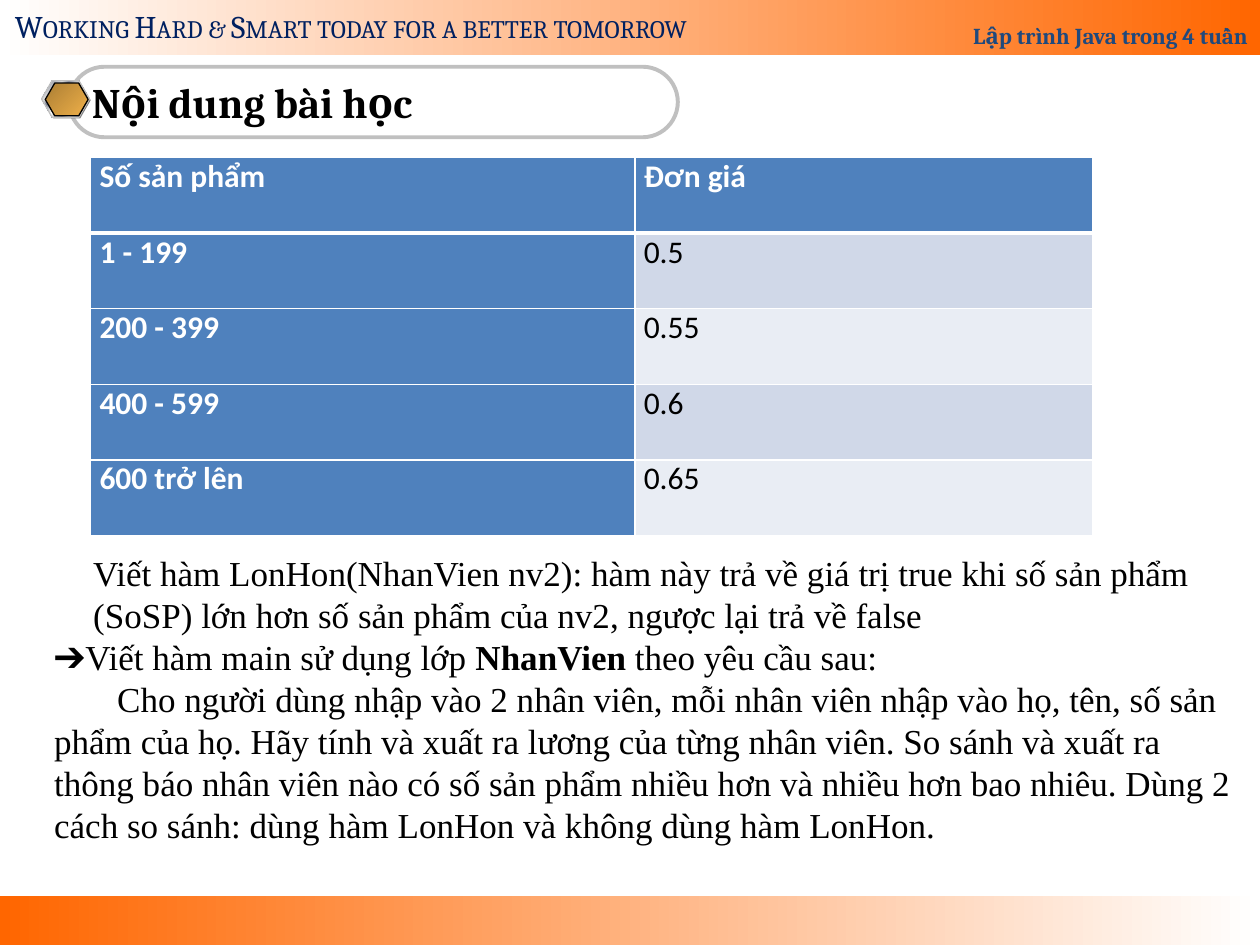
import pptx
import pptx.util
import pptx.oxml
import pptx.oxml.ns
import pptx.dml.color
import pptx.enum.shapes
import pptx.enum.text
from lxml import etree

COLORS = {
    "white": "FFFFFF", "black": "000000", "orange": "FF6600", "navy": "002060",
    "blue": "1F497D", "head": "4F81BD", "band": "D0D8E8", "pale": "E9EDF4",
    "silver": "C0C0C0", "grey": "808080", "bronze": "AB7E34", "gold": "EFB049",
    "shine": "E6E6E6", "steel": "7D8496",
}
SHAPES = pptx.enum.shapes.MSO_SHAPE
ALIGN = pptx.enum.text.PP_ALIGN
ANCHOR = pptx.enum.text.MSO_ANCHOR
qn = pptx.oxml.ns.qn


def rgb(name):
    return pptx.dml.color.RGBColor.from_string(COLORS[name])


def write(paragraph, text, size=18, font="Cambria", color="black", bold=False, small_caps=False):
    run = paragraph.add_run()
    run.text = text
    run.font.size = pptx.util.Pt(size)
    run.font.name = font
    run.font.bold = bold
    run.font.color.rgb = rgb(color)
    if small_caps:
        run.font._element.set("cap", "small")


class SlideBuilder:
    """Holds the grid, 100 columns by 75 rows, and the current slide."""

    COLUMNS, ROWS = 100, 75

    def __init__(self, deck):
        self.column = deck.slide_width / self.COLUMNS
        self.row = deck.slide_height / self.ROWS
        self.slide = deck.slides.add_slide(deck.slide_layouts[1])

    def area(self, left, top, width, height):
        return (round(left * self.column), round(top * self.row),
                round(width * self.column), round(height * self.row))

    def gradient(self, shape, stops, angle=0):
        shape.fill.gradient()
        shape.fill.gradient_angle = -angle % 360
        stop_list = shape.fill._xPr.find(qn("a:gradFill")).find(qn("a:gsLst"))
        for old in list(stop_list):
            stop_list.remove(old)
        for position, name in stops:
            stop = etree.SubElement(stop_list, qn("a:gs"), pos=str(position * 1000))
            etree.SubElement(stop, qn("a:srgbClr"), val=COLORS[name])

    def shape(self, kind, area, fill=None, stops=None, angle=0, line=None, width=0.75, adjust=()):
        shape = self.slide.shapes.add_shape(kind, *self.area(*area))
        shape.shadow.inherit = False
        for index, value in enumerate(adjust):
            shape.adjustments[index] = value
        if stops:
            self.gradient(shape, stops, angle)
        elif fill:
            shape.fill.solid()
            shape.fill.fore_color.rgb = rgb(fill)
        else:
            shape.fill.background()
        if line:
            shape.line.color.rgb = rgb(line)
            shape.line.width = pptx.util.Pt(width)
        else:
            shape.line.fill.background()
        return shape

    def label(self, area, text, **style):
        box = self.slide.shapes.add_textbox(*self.area(*area))
        box.text_frame.word_wrap = False
        write(box.text_frame.paragraphs[0], text, **style)

    def placeholder(self, index, area, anchor, wrap=True):
        holder = self.slide.placeholders[index]
        holder.left, holder.top, holder.width, holder.height = self.area(*area)
        frame = holder.text_frame
        frame.auto_size = pptx.enum.text.MSO_AUTO_SIZE.NONE
        frame.vertical_anchor = anchor
        frame.word_wrap = wrap
        return frame

    def title(self, area, text, **style):
        frame = self.placeholder(0, area, ANCHOR.MIDDLE, wrap=False)
        frame.paragraphs[0].alignment = ALIGN.LEFT
        write(frame.paragraphs[0], text, **style)

    def body(self, area, paragraphs, **style):
        """Each paragraph is its left indent in columns and its (text, bold) runs."""
        frame = self.placeholder(1, area, ANCHOR.TOP)
        for number, (indent, runs) in enumerate(paragraphs):
            paragraph = frame.paragraphs[0] if number == 0 else frame.add_paragraph()
            properties = paragraph._p.get_or_add_pPr()
            properties.set("marL", str(round(indent * self.column)))
            properties.set("indent", "0")
            etree.SubElement(properties, qn("a:buNone"))
            paragraph.space_before = pptx.util.Pt(0)
            for text, bold in runs:
                write(paragraph, text, bold=bold, **style)

    def borders(self, cell, bottom):
        properties = cell._tc.get_or_add_tcPr()
        for position, side in enumerate("LRTB"):
            width = pptx.util.Pt(bottom if side == "B" else 1)
            edge = etree.Element(qn("a:ln" + side), w=str(width))
            fill = etree.SubElement(edge, qn("a:solidFill"))
            etree.SubElement(fill, qn("a:srgbClr"), val=COLORS["white"])
            properties.insert(position, edge)

    def table(self, area, widths, rows):
        grid = self.slide.shapes.add_table(len(rows), len(widths), *self.area(*area)).table
        grid.first_col = True
        for column, width in zip(grid.columns, widths):
            column.width = round(width * self.column)
        for r, values in enumerate(rows):
            for c, value in enumerate(values):
                cell = grid.cell(r, c)
                heading = r == 0 or c == 0
                cell.margin_left = cell.margin_right = pptx.util.Inches(0.07)
                cell.margin_top = cell.margin_bottom = 0
                cell.fill.solid()
                cell.fill.fore_color.rgb = rgb("head" if heading else "band" if r % 2 else "pale")
                self.borders(cell, bottom=3 if r == 0 else 1)
                write(cell.text_frame.paragraphs[0], value, font="Calibri",
                      color="white" if heading else "black", bold=heading)


def main():
    deck = pptx.Presentation()
    deck.slide_width = pptx.util.Inches(10)
    deck.slide_height = pptx.util.Inches(7.5)
    page = SlideBuilder(deck)

    # Footer and header bands
    page.shape(SHAPES.RECTANGLE, (0, 71.1, 100, 3.9), stops=[(0, "orange"), (100, "white")])
    header = page.shape(SHAPES.RECTANGLE, (0, 0, 100, 4.4), stops=[(0, "white"), (100, "orange")])
    header.text_frame.vertical_anchor = ANCHOR.BOTTOM
    course = header.text_frame.paragraphs[0]
    course.alignment = ALIGN.RIGHT
    course.line_spacing = 1.8
    write(course, "Lập trình Java trong 4 tuần", size=13, color="blue", bold=True)
    page.label((0.2, 0.1, 59, 4), "Working Hard & Smart today for a better tomorrow",
               color="navy", small_caps=True)

    # Title in its pill, with the hexagon badge
    page.shape(SHAPES.ROUNDED_RECTANGLE, (5.5, 5.3, 48.3, 5.6), line="silver", width=2.25, adjust=[0.5])
    page.title((6.3, 5.3, 47, 5.6), "Nội dung bài học", size=24, bold=True)
    hexagon = [0.289, 1.155]
    metal = [(0, "shine"), (7, "steel"), (26, "shine"), (34, "steel"), (46, "shine"), (50, "white"),
             (54, "shine"), (66, "steel"), (74, "shine"), (93, "steel"), (100, "shine")]
    page.shape(SHAPES.HEXAGON, (3.4, 6.5, 3.8, 2.9), fill="grey", adjust=hexagon)
    page.shape(SHAPES.HEXAGON, (3.3, 6.4, 3.8, 2.9), stops=metal, angle=45, line="silver", adjust=hexagon)
    page.shape(SHAPES.HEXAGON, (3.6, 6.6, 3.4, 2.6), stops=[(0, "bronze"), (100, "gold")], angle=45,
               line="black", adjust=hexagon)

    # Price table
    page.table((7.2, 12.5, 79.5, 30), [43.2, 36.3], [
        ("Số sản phẩm", "Đơn giá"),
        ("1 - 199", "0.5"),
        ("200 - 399", "0.55"),
        ("400 - 599", "0.6"),
        ("600 trở lên", "0.65"),
    ])

    # Exercise
    page.body((3.3, 43.3, 95.6, 24.6), [
        (3.1, [("Viết hàm LonHon(NhanVien nv2): hàm này trả về giá trị true khi số sản phẩm "
                "(SoSP) lớn hơn số sản phẩm của nv2, ngược lại trả về false", False)]),
        (0, [("➔Viết hàm main sử dụng lớp ", False), ("NhanVien ", True), ("theo yêu cầu sau:", False)]),
        (0, [("\tCho người dùng nhập vào 2 nhân viên, mỗi nhân viên nhập vào họ, tên, số sản phẩm "
              "của họ. Hãy tính và xuất ra lương của từng nhân viên. So sánh và xuất ra thông báo "
              "nhân viên nào có số sản phẩm nhiều hơn và nhiều hơn bao nhiêu. Dùng 2 cách so sánh: "
              "dùng hàm LonHon và không dùng hàm LonHon.", False)]),
    ], size=20, font="Times New Roman")

    deck.save("out.pptx")


if __name__ == "__main__":
    main()
